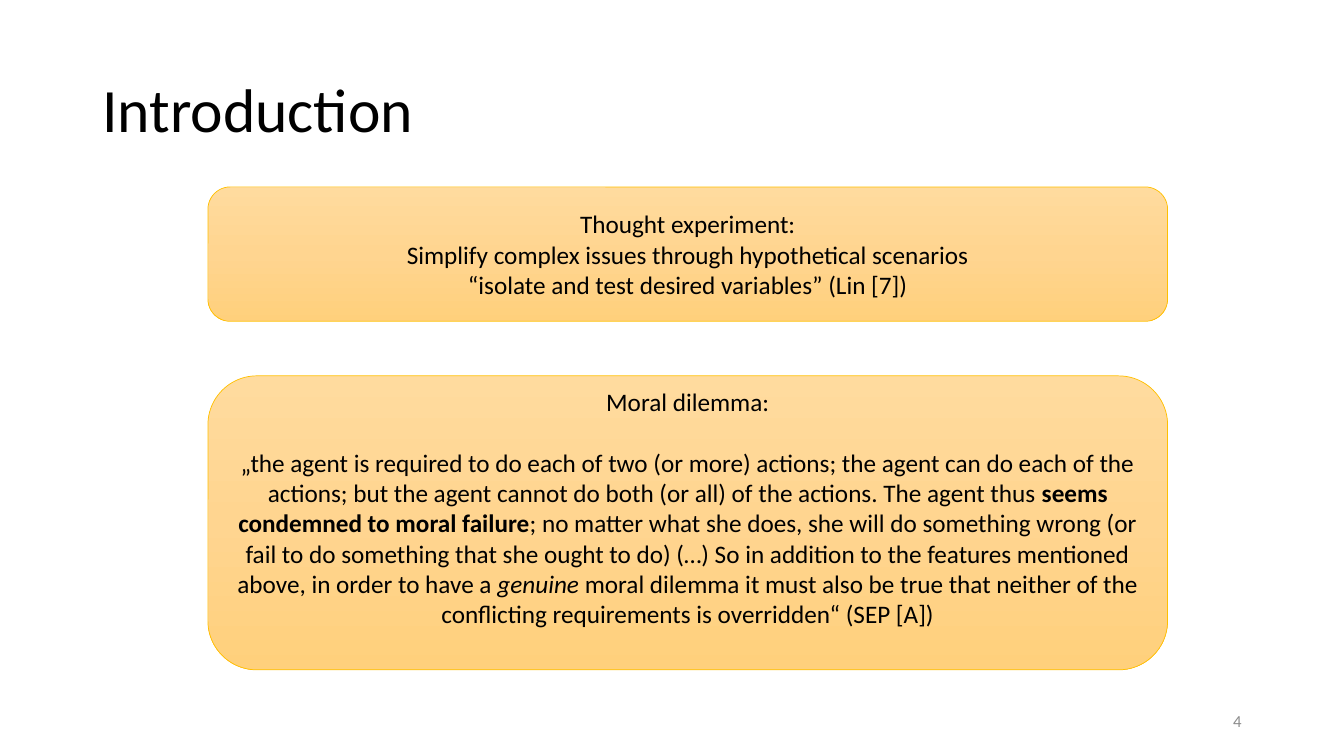
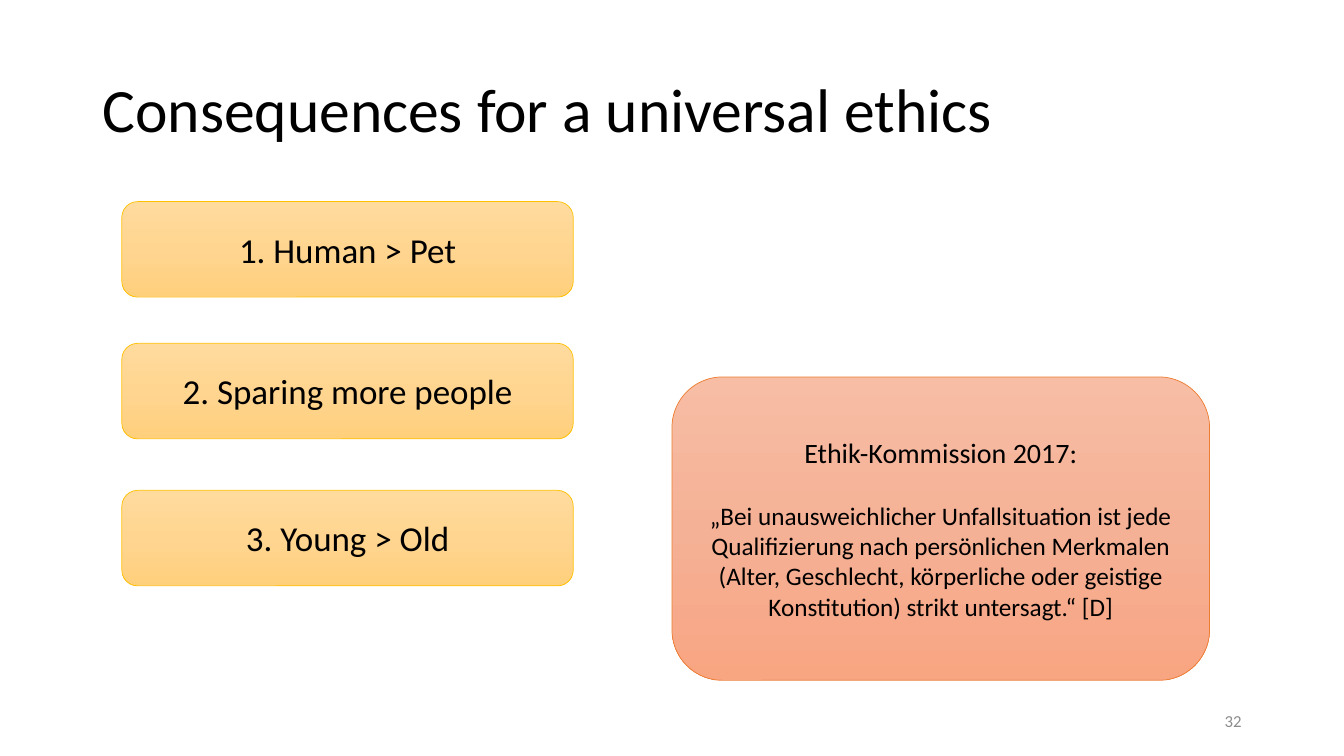
from copy import deepcopy
from dataclasses import dataclass

from pptx import Presentation
from pptx.dml.color import RGBColor
from pptx.enum.shapes import MSO_SHAPE
from pptx.enum.text import MSO_ANCHOR, MSO_AUTO_SIZE, PP_ALIGN
from pptx.oxml.ns import qn
from pptx.util import Emu, Pt

PX = 9525  # EMU in one px, 96 px to the inch


@dataclass(frozen=True)
class Theme:
    font: str = "Calibri"
    text: str = "000000"
    muted: str = "8C8C8C"
    gold: tuple = ("FFDB9E", "FFD590", "FFD07C")
    gold_line: str = "FFC000"
    coral: tuple = ("F7BDA5", "F5B196", "F8A582")
    coral_line: str = "ED7D31"
    line_width: float = 0.5
    title_size: int = 44
    point_size: int = 25
    heading_size: int = 20
    body_size: int = 18
    number_size: int = 12


def px(length):
    return Emu(length * PX)


def set_format(target, values):
    for name, value in values.items():
        setattr(target, name, value)


class SlideBuilder:
    def __init__(self, theme):
        self.theme = theme
        self.deck = Presentation()
        set_format(self.deck, {"slide_width": px(1280), "slide_height": px(720)})
        self.slide = None

    def add_slide(self, title, number):
        self.slide = self.deck.slides.add_slide(self.deck.slide_layouts[5])
        heading = self.slide.shapes.title
        set_format(heading, {"left": px(88), "top": px(38),
                             "width": px(1104), "height": px(139)})
        self.fill_text(heading.text_frame, [title], self.theme.title_size,
                       align=PP_ALIGN.LEFT, line_spacing=0.9)
        box = self.slide.shapes.add_textbox(px(904), px(667), px(288), px(38))
        self.fill_text(box.text_frame, [str(number)], self.theme.number_size,
                       color=self.theme.muted, align=PP_ALIGN.RIGHT)

    def fill_text(self, frame, paragraphs, size, color=None,
                  align=PP_ALIGN.CENTER, line_spacing=None):
        """Fill a frame; a paragraph is a string or a list of (text, font values)."""
        set_format(frame, {"word_wrap": True, "auto_size": MSO_AUTO_SIZE.NONE,
                           "vertical_anchor": MSO_ANCHOR.MIDDLE})
        for index, content in enumerate(paragraphs):
            para = frame.add_paragraph() if index else frame.paragraphs[0]
            set_format(para, {"alignment": align, "line_spacing": line_spacing})
            spans = [(content, {})] if isinstance(content, str) else content
            for text, values in spans:
                span = para.add_run()
                span.text = text
                set_format(span.font, {"name": self.theme.font, "size": Pt(size), **values})
                span.font.color.rgb = RGBColor.from_string(color or self.theme.text)

    def panel(self, left, top, width, height, paragraphs, size,
              colors=None, line=None, heading_gap=0, bottom_inset=5):
        """Draw a rounded box with a vertical gradient and centred text."""
        box = self.slide.shapes.add_shape(MSO_SHAPE.ROUNDED_RECTANGLE,
                                          px(left), px(top), px(width), px(height))
        box.shadow.inherit = False
        self.shade(box, colors or self.theme.gold)
        box.line.color.rgb = RGBColor.from_string(line or self.theme.gold_line)
        box.line.width = Pt(self.theme.line_width)
        self.fill_text(box.text_frame, paragraphs, size)
        box.text_frame.margin_bottom = px(bottom_inset)
        box.text_frame.paragraphs[0].space_after = Pt(heading_gap)

    def shade(self, box, colors):
        """Fill a box with evenly spaced colours from top to bottom."""
        box.fill.gradient()
        box.fill.gradient_angle = 270
        stop_list = box.element.spPr.find(".//" + qn("a:gsLst"))
        stop_list.insert(1, deepcopy(stop_list[0]))
        for index, (stop, color) in enumerate(zip(box.fill.gradient_stops, colors)):
            stop.color.rgb = RGBColor.from_string(color)
            stop.position = index / (len(colors) - 1)


def add_introduction(builder):
    size = builder.theme.body_size
    builder.add_slide("Introduction", 4)
    builder.panel(198, 178, 914, 128, [
        "Thought experiment:",
        "Simplify complex issues through hypothetical scenarios",
        "“isolate and test desired variables” (Lin [7])",
    ], size)
    builder.panel(198, 358, 914, 280, [
        "Moral dilemma:",
        [("„the agent is required to do each of two (or more) actions; the agent can do "
          "each of the actions; but the agent cannot do both (or all) of the actions. "
          "The agent thus ", {}),
         ("seems condemned to moral failure", {"bold": True}),
         ("; no matter what she does, she will do something wrong (or fail to do "
          "something that she ought to do) (…) So in addition to the features mentioned "
          "above, in order to have a ", {}),
         ("genuine", {"italic": True}),
         (" moral dilemma it must also be true that neither of the conflicting "
          "requirements is overridden“ (SEP [A])", {})],
    ], size, heading_gap=22, bottom_inset=34)


def add_consequences(builder):
    theme = builder.theme
    builder.add_slide("Consequences for a universal ethics", 32)
    points = {192: "1. Human > Pet", 327: "2. Sparing more people", 467: "3. Young > Old"}
    for top, point in points.items():
        builder.panel(116, top, 430, 91, [point], theme.point_size)
    builder.panel(640, 359, 512, 289, [
        [("Ethik-Kommission 2017:", {"size": Pt(theme.heading_size)})],
        "„Bei unausweichlicher Unfallsituation ist jede Qualifizierung nach persönlichen "
        "Merkmalen (Alter, Geschlecht, körperliche oder geistige Konstitution) strikt "
        "untersagt.“ [D]",
    ], theme.body_size, theme.coral, theme.coral_line, heading_gap=22)


def main():
    builder = SlideBuilder(Theme())
    add_introduction(builder)
    add_consequences(builder)
    builder.deck.save("out.pptx")


if __name__ == "__main__":
    main()
